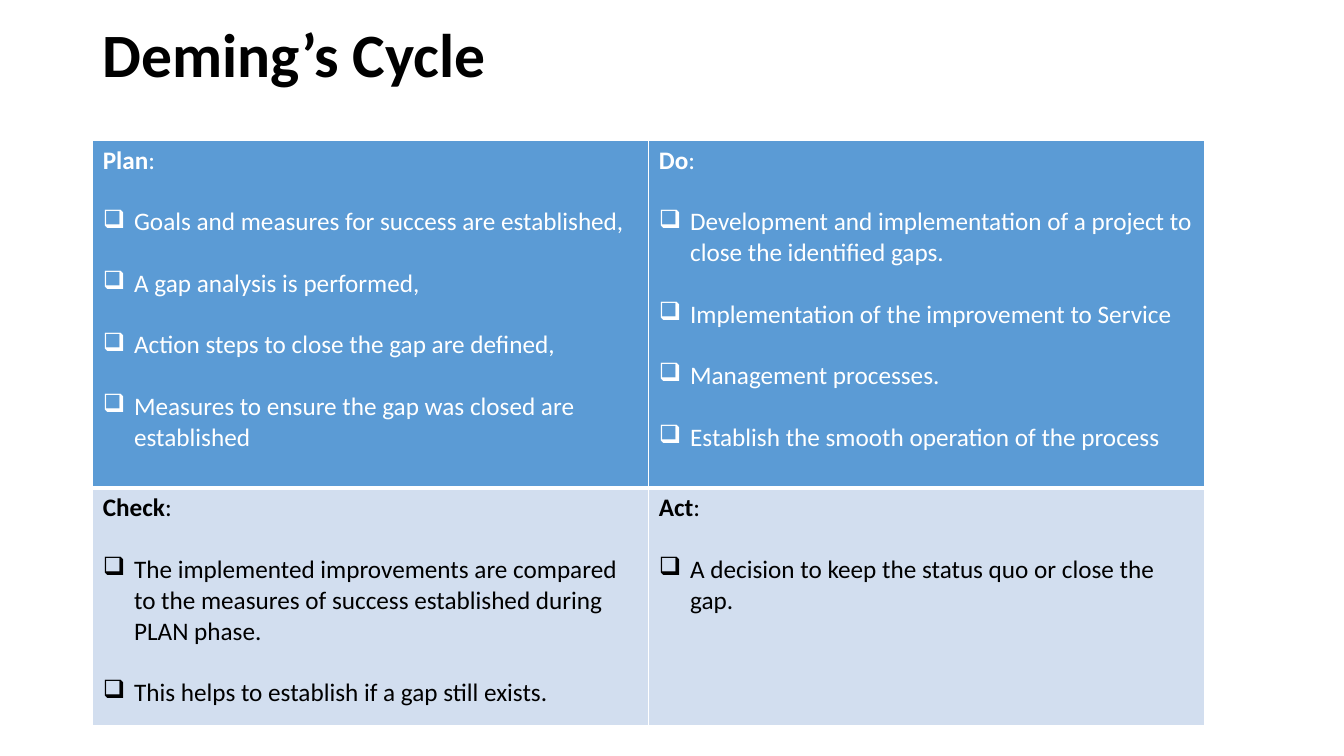
from lxml import etree
from pptx import Presentation
from pptx.dml.color import RGBColor
from pptx.enum import text
from pptx.oxml import ns
from pptx.util import Inches, Pt

TITLE = "Deming’s Cycle"
CELLS = [
    [("Plan", ["Goals and measures for success are established,",
               "A gap analysis is performed,",
               "Action steps to close the gap are defined,",
               "Measures to ensure the gap was closed are established"]),
     ("Do", ["Development and implementation of a project to close the identified gaps.",
             "Implementation of the improvement to Service",
             "Management processes.",
             "Establish the smooth operation of the process"])],
    [("Check", ["The implemented improvements are compared to the measures of "
                "success established during PLAN phase.",
                "This helps to establish if a gap still exists."]),
     ("Act", ["A decision to keep the status quo or close the gap."])],
]
WHITE = RGBColor(0xFF, 0xFF, 0xFF)
BLACK = RGBColor(0, 0, 0)
BLUE = RGBColor(0x5B, 0x9B, 0xD5)
PALE = RGBColor(0xD2, 0xDE, 0xEF)
ROWS = [
    {"high": 3.45, "fill": BLUE, "ink": WHITE, "edge": {"L": 1, "R": 1, "T": 1, "B": 3}},
    {"high": 2.36, "fill": PALE, "ink": BLACK, "edge": {"L": 1, "R": 1, "T": 3, "B": 1}},
]
LEFT, TOP, WIDE = 0.92, 1.39, 11.03
INDENT = Inches(0.31)
GAP = Pt(22)


def add_run(para, words, size, ink, bold=False):
    run = para.add_run()
    run.text = words
    form = {"name": "Calibri", "size": Pt(size), "bold": bold}
    for key, val in form.items():
        setattr(run.font, key, val)
    run.font.color.rgb = ink


def add_edge(cell, side, width):
    props = cell._tc.get_or_add_tcPr()
    line = etree.SubElement(props, ns.qn("a:ln" + side), w=str(Pt(width)))
    fill = etree.SubElement(line, ns.qn("a:solidFill"))
    etree.SubElement(fill, ns.qn("a:srgbClr"), val=str(WHITE))


def add_item(frame, words, ink):
    para = frame.add_paragraph()
    para.space_before = GAP
    props = para._p.get_or_add_pPr()
    props.set("marL", str(INDENT))
    props.set("indent", str(-INDENT))
    etree.SubElement(props, ns.qn("a:buChar"), char="❑")
    add_run(para, words, 18, ink)


def fill_cell(cell, head, items, look):
    for side, width in look["edge"].items():
        add_edge(cell, side, width)
    cell.fill.solid()
    cell.fill.fore_color.rgb = look["fill"]
    para = cell.text_frame.paragraphs[0]
    add_run(para, head, 18, look["ink"], True)
    add_run(para, ":", 18, look["ink"])
    for words in items:
        add_item(cell.text_frame, words, look["ink"])


def main():
    deck = Presentation()
    deck.slide_width, deck.slide_height = Inches(13.33), Inches(7.5)
    slide = deck.slides.add_slide(deck.slide_layouts[6])

    box = slide.shapes.add_textbox(Inches(LEFT), Inches(0.16), Inches(11.5), Inches(0.82))
    frame = box.text_frame
    for key, val in {"word_wrap": True, "vertical_anchor": text.MSO_ANCHOR.MIDDLE}.items():
        setattr(frame, key, val)
    frame.paragraphs[0].line_spacing = 0.9
    add_run(frame.paragraphs[0], TITLE, 44, BLACK, True)

    high = sum(look["high"] for look in ROWS)
    grid = slide.shapes.add_table(len(CELLS), len(CELLS[0]), Inches(LEFT), Inches(TOP),
                                  Inches(WIDE), Inches(high)).table
    for key in ("first_row", "horz_banding"):
        setattr(grid, key, False)
    for r, (row, look) in enumerate(zip(CELLS, ROWS)):
        grid.rows[r].height = Inches(look["high"])
        for c, (head, items) in enumerate(row):
            fill_cell(grid.cell(r, c), head, items, look)

    deck.save("out.pptx")


if __name__ == "__main__":
    main()
